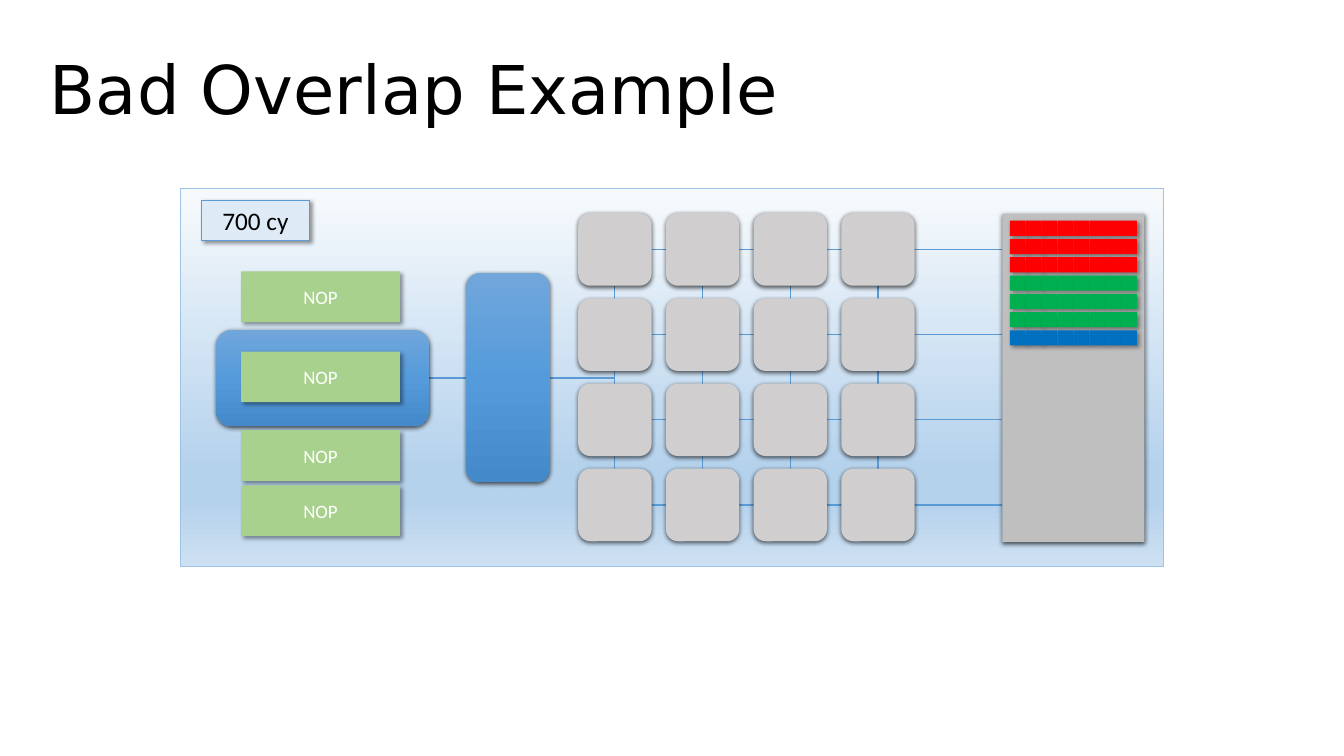
from dataclasses import dataclass

from pptx import Presentation
from pptx import util as u
from pptx.dml import color
from pptx.enum import shapes, text
from pptx.oxml import ns, parse_xml


@dataclass(frozen=True)
class Theme:
    black: str = "000000"
    white: str = "FFFFFF"
    line: str = "5B9BD5"
    panel_line: str = "9DC3E6"
    panel: tuple = ((0, "F7FAFD"), (74, "B5D2EC"), (83, "B5D2EC"), (100, "CEE1F2"))
    stage: tuple = ((0, "71A6DB"), (50, "559BDB"), (100, "448ACA"))
    node: str = "D0CECE"
    memory: str = "BFBFBF"
    nop: str = "A9D18E"
    label: str = "DEEBF7"
    red: str = "FF0000"
    green: str = "00B050"
    blue: str = "0070C0"
    title_font: str = "DejaVu Sans"
    body_font: str = "Calibri"
    title_size: int = 64
    label_size: int = 24
    nop_size: int = 18
    soft: tuple = (63, 4.5, 1.5, 90)
    diagonal: tuple = (40, 4, 3, 45)


theme = Theme()
RECT = shapes.MSO_SHAPE.RECTANGLE
ROUND = shapes.MSO_SHAPE.ROUNDED_RECTANGLE

prs = Presentation()
prs.slide_width = u.Inches(17.78)
prs.slide_height = u.Inches(10)
s = prs.slides.add_slide(prs.slide_layouts[5])

title = s.shapes.title
title.left, title.top, title.width, title.height = map(u.Inches, (0.56, 0.4, 16.83, 1.52))
tf = title.text_frame
tf.vertical_anchor = text.MSO_ANCHOR.MIDDLE
p = tf.paragraphs[0]
p.alignment = text.PP_ALIGN.LEFT
r = p.add_run()
r.text = "Bad Overlap Example"
r.font.name = theme.title_font
r.font.size = u.Pt(theme.title_size)
r.font.color.rgb = color.RGBColor.from_string(theme.black)

diagram = s.shapes.add_group_shape()


def add_box(words, *, at, fill, kind=RECT, line=None, shadow=None, size=18, ink=theme.white):
    sp = diagram.shapes.add_shape(kind, *map(u.Inches, at))
    if isinstance(fill, str):
        sp.fill.solid()
        sp.fill.fore_color.rgb = color.RGBColor.from_string(fill)
    else:
        sp.fill.gradient()
        stops = "".join(
            f'<a:gs pos="{pos * 1000}"><a:srgbClr val="{rgb}"/></a:gs>' for pos, rgb in fill
        )
        old = sp._element.spPr.find(ns.qn("a:gradFill"))
        old.getparent().replace(old, parse_xml(
            f'<a:gradFill {ns.nsdecls("a")} rotWithShape="1"><a:gsLst>{stops}</a:gsLst>'
            '<a:lin ang="5400000" scaled="0"/></a:gradFill>'
        ))
    if line:
        sp.line.color.rgb = color.RGBColor.from_string(line)
        sp.line.width = u.Pt(1)
    else:
        sp.line.fill.background()
    sp.shadow.inherit = False
    if shadow:
        alpha, blur, dist, angle = shadow
        sp._element.spPr.find(ns.qn("a:effectLst")).append(parse_xml(
            f'<a:outerShdw {ns.nsdecls("a")} blurRad="{u.Pt(blur)}" dist="{u.Pt(dist)}" '
            f'dir="{angle * 60000}" algn="ctr" rotWithShape="0"><a:srgbClr val="{theme.black}">'
            f'<a:alpha val="{alpha * 1000}"/></a:srgbClr></a:outerShdw>'
        ))
    if words:
        p = sp.text_frame.paragraphs[0]
        p.alignment = text.PP_ALIGN.CENTER
        r = p.add_run()
        r.text = words
        r.font.name = theme.body_font
        r.font.size = u.Pt(size)
        r.font.color.rgb = color.RGBColor.from_string(ink)


def add_line(*ends):
    link = diagram.shapes.add_connector(shapes.MSO_CONNECTOR.STRAIGHT, *map(u.Inches, ends))
    link.line.color.rgb = color.RGBColor.from_string(theme.line)
    link.line.width = u.Pt(1)
    link._element.spPr.append(parse_xml(f'<a:effectLst {ns.nsdecls("a")}/>'))


add_box("", at=(2.39, 2.5, 13, 5), fill=theme.panel, line=theme.panel_line)

node_w, node_h = 0.97, 0.96
columns = [7.65 + 1.16 * i for i in range(4)]
rows = [2.82 + 3.38 / 3 * i for i in range(4)]
memory_left = 13.26

for x in columns:
    add_line(x + node_w / 2, rows[0] + node_h, x + node_w / 2, rows[-1])
for y in rows:
    add_line(columns[0] + node_w, y + node_h / 2, memory_left, y + node_h / 2)
for y in rows:
    for x in columns:
        add_box("", at=(x, y, node_w, node_h), fill=theme.node, kind=ROUND, shadow=theme.soft)

add_line(5.68, 5, 6.17, 5)
add_line(7.27, 5, columns[0] + node_w / 2, 5)
for at in ((2.86, 4.36, 2.82, 1.28), (6.17, 3.61, 1.1, 2.77)):
    add_box("", at=at, fill=theme.stage, kind=ROUND, shadow=theme.soft)
for y in (3.59, 4.65, 5.69, 6.42):
    add_box("NOP", at=(3.19, y, 2.1, 0.67), fill=theme.nop, shadow=theme.diagonal,
            size=theme.nop_size)
add_box("700 cy", at=(2.67, 2.65, 1.42, 0.53), fill=theme.label, line=theme.line,
        shadow=theme.diagonal, size=theme.label_size, ink=theme.black)

add_box("", at=(memory_left, 2.83, 1.88, 4.34), fill=theme.memory, shadow=theme.soft)
for i, fill in enumerate([theme.red] * 3 + [theme.green] * 3 + [theme.blue]):
    for j in range(8):
        add_box("", at=(13.36 + 0.21 * j, 2.92 + 1.45 / 6 * i, 0.21, 0.2), fill=fill,
                shadow=theme.diagonal)

prs.save("out.pptx")
